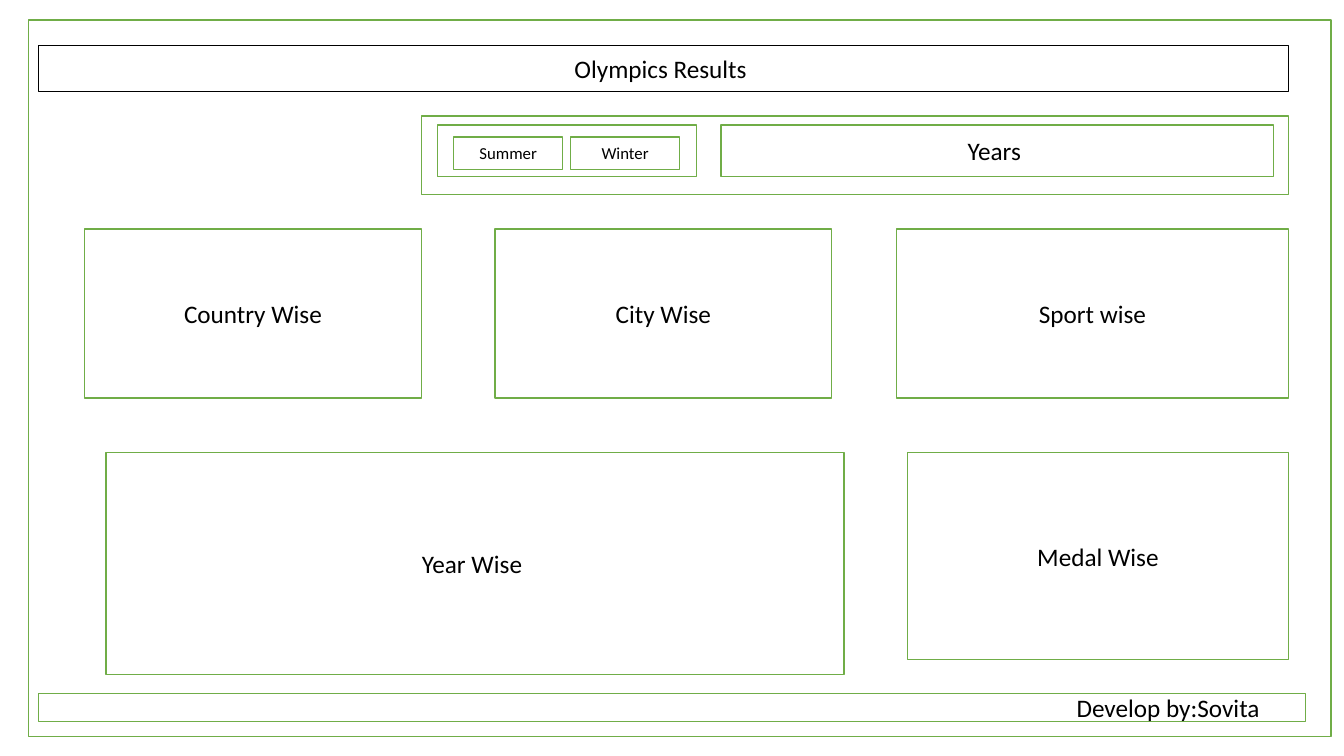
"""Build the wireframe slide of an Olympics results dashboard."""
from pptx import Presentation, util as u
from pptx.dml.color import RGBColor
from pptx.enum import shapes, text

GREEN = RGBColor(0x70, 0xAD, 0x47)
BLACK = RGBColor(0, 0, 0)
WHITE = RGBColor(255, 255, 255)

TITLE = "Olympics Results "
CREDIT = "Develop by:Sovita "
LEFT, RIGHT = 0.38, 12.78
SMALL, LARGE = 12, 18

ROWS = [
    (0.2, 7.11, [("", 0.28, 13.2)]),
    (0.45, 0.46, [(TITLE, LEFT, RIGHT)]),
    (6.88, 0.28, [(CREDIT, LEFT, 12.95)]),
    (1.15, 0.78, [("", 4.18, RIGHT)]),
    (1.24, 0.51, [("", 4.34, 6.91), ("Years ", 7.15, 12.63)]),
    (1.36, 0.32, [("Summer", 4.5, 5.58), ("Winter", 5.66, 6.74)]),
    (2.27, 1.68, [("Country Wise", 0.84, 4.18), ("City Wise", 4.91, 8.25),
                  ("Sport wise", 8.89, RIGHT)]),
    (4.49, 2.2, [("Year Wise ", 1.05, 8.37)]),
    (4.49, 2.05, [("Medal Wise", 9, RIGHT)]),
]
SIZES = {"Summer": SMALL, "Winter": SMALL}
FRAME = {"word_wrap": True, "auto_size": text.MSO_AUTO_SIZE.NONE,
         "vertical_anchor": text.MSO_ANCHOR.MIDDLE}


def apply(target, values):
    for name, value in values.items():
        setattr(target, name, value)


def draw_box(page, label, left, top, width, height):
    place = dict(zip(("left", "top", "width", "height"),
                     map(u.Inches, (left, top, width, height))))
    if label == TITLE:
        box = page.shapes.title
        page.shapes._spTree.append(box._element)
        apply(box, place)
    else:
        box = page.shapes.add_shape(shapes.MSO_SHAPE.RECTANGLE, *place.values())
        box.shadow.inherit = False
    box.fill.solid()
    box.fill.fore_color.rgb = WHITE
    box.line.color.rgb = BLACK if label == TITLE else GREEN
    box.line.width = u.Pt(1)
    if label:
        write(box, label)


def write(box, label):
    apply(box.text_frame, FRAME)
    para = box.text_frame.paragraphs[0]
    apply(para, {"alignment": text.PP_ALIGN.CENTER, "line_spacing": 1.0})
    if label == CREDIT:
        para.alignment = text.PP_ALIGN.RIGHT
        apply(box.text_frame, {"margin_right": u.Inches(0.4)})
    span = para.add_run()
    span.text = label
    apply(span.font, {"name": "Calibri", "size": u.Pt(SIZES.get(label, LARGE))})
    span.font.color.rgb = BLACK


deck = Presentation()
apply(deck, {"slide_width": u.Inches(13.33), "slide_height": u.Inches(7.5)})
page = deck.slides.add_slide(deck.slide_layouts[5])
for top, height, boxes in ROWS:
    for label, left, right in boxes:
        draw_box(page, label, left, top, right - left, height)
deck.save("out.pptx")
